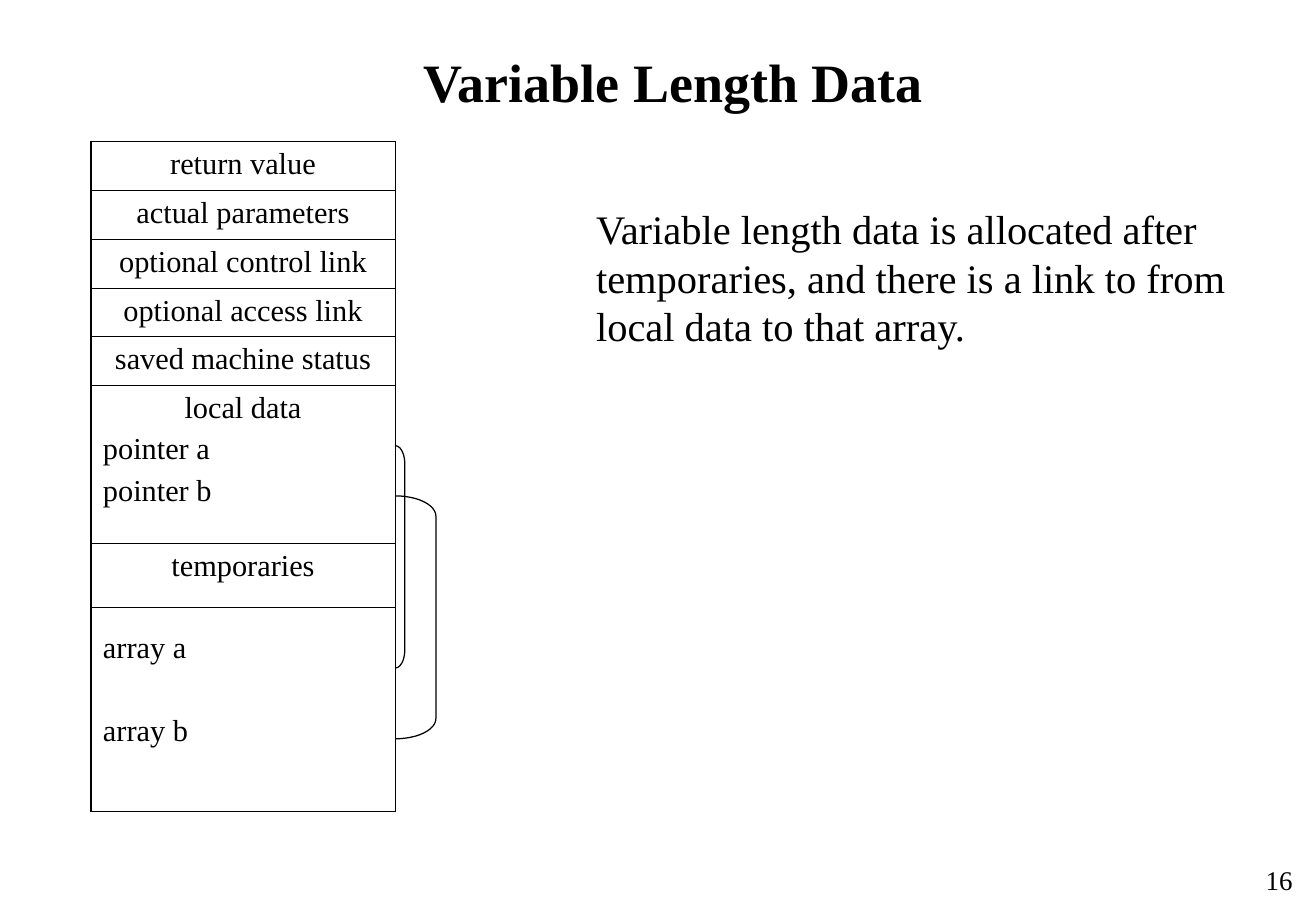
"""Build the slide on variable length data in an activation record."""
from lxml import etree
from pptx import Presentation
from pptx.dml.color import RGBColor
from pptx.enum.shapes import MSO_CONNECTOR, MSO_SHAPE
from pptx.enum.text import MSO_ANCHOR, PP_ALIGN
from pptx.oxml.ns import qn
from pptx.util import Cm, Pt

LEFT, CENTER = PP_ALIGN.LEFT, PP_ALIGN.CENTER
TOP, MIDDLE = MSO_ANCHOR.TOP, MSO_ANCHOR.MIDDLE
STRAIGHT, BRACKET = MSO_CONNECTOR.STRAIGHT, MSO_SHAPE.RIGHT_BRACKET

INK = "000000"
FONT = "Times New Roman"
THIN, THICK, LINK = 0.45, 1.08, 0.75
LINE_GAP, DOUBLE_GAP = 4.5, 29

TITLE = [("Variable Length Data", CENTER, 0)]
NUMBER = [("16", CENTER, 0)]
EXPLANATION = [
    ("Variable length data is allocated after", LEFT, 0),
    ("temporaries, and there is a link to from", LEFT, 0),
    ("local data to that array.", LEFT, 0),
]
TEXT_BOXES = [
    (TITLE, (1.07, 0.43, 26.04, 2.54), MIDDLE, True, {"size": Pt(32), "bold": True}),
    (EXPLANATION, (12.22, 4.14, 13.67, 3.3), TOP, False, {"size": Pt(24)}),
    (NUMBER, (26.06, 17.96, 1.4, 0.89), MIDDLE, False, {"size": Pt(16)}),
]

RECORD_LEFT, RECORD_TOP, RECORD_WIDTH = 1.9, 2.96, 6.37
RECORD_RIGHT = RECORD_LEFT + RECORD_WIDTH
TEMPORARIES_BOTTOM = 12.7
FIELD_HEIGHT = 1.02
SINGLE_FIELDS = [
    "return value",
    "actual parameters",
    "optional control link",
    "optional access link",
    "saved machine status",
]
FIELDS = [(FIELD_HEIGHT, [(name, CENTER, 0)]) for name in SINGLE_FIELDS] + [
    (3.3, [
        ("local data", CENTER, 0),
        ("pointer a", LEFT, LINE_GAP),
        ("pointer b", LEFT, LINE_GAP),
    ]),
    (5.61, [
        ("temporaries", CENTER, 0),
        ("array a", LEFT, DOUBLE_GAP),
        ("array b", LEFT, DOUBLE_GAP),
    ]),
]
THIN_RIGHT_ROW = SINGLE_FIELDS.index("optional access link")

POINTER_LINKS = [(9.32, 0.2, 4.65, 1.9), (10.37, 0.85, 5.08, 0.5)]


def color(hex_value):
    return RGBColor.from_string(hex_value)


def write(frame, lines, style):
    for index, (words, alignment, gap) in enumerate(lines):
        para = frame.paragraphs[0] if index == 0 else frame.add_paragraph()
        para.alignment = alignment
        para.space_before = Pt(gap)
        span = para.add_run()
        span.text = words
        span.font.color.rgb = color(INK)
        for name, value in {"name": FONT, "bold": False, **style}.items():
            setattr(span.font, name, value)


def add_text(page, lines, place, anchor, wrap, style):
    frame = page.shapes.add_textbox(*map(Cm, place)).text_frame
    frame.word_wrap = wrap
    frame.vertical_anchor = anchor
    write(frame, lines, style)


def set_borders(cell, widths):
    properties = cell._tc.get_or_add_tcPr()
    for position, (side, width) in enumerate(widths.items()):
        border = etree.Element(qn(f"a:{side}"), w=str(int(Pt(width))))
        fill = etree.SubElement(border, qn("a:solidFill"))
        etree.SubElement(fill, qn("a:srgbClr"), val=INK)
        properties.insert(position, border)


def add_record(page):
    height = sum(row_height for row_height, _ in FIELDS)
    place = map(Cm, (RECORD_LEFT, RECORD_TOP, RECORD_WIDTH, height))
    table = page.shapes.add_table(len(FIELDS), 1, *place).table
    table.first_row = table.horz_banding = False
    last = len(FIELDS) - 1
    for index, (row_height, lines) in enumerate(FIELDS):
        table.rows[index].height = Cm(row_height)
        cell = table.cell(index, 0)
        cell.fill.background()
        write(cell.text_frame, lines, {"size": Pt(18)})
        set_borders(cell, {
            "lnL": THICK,
            "lnR": THIN if index == THIN_RIGHT_ROW else THICK,
            "lnT": THICK if index == 0 else THIN,
            "lnB": THICK if index == last else THIN,
        })


def draw_line(shape):
    shape.line.color.rgb = color(INK)
    shape.line.width = Pt(LINK)


def add_separator(page):
    ends = (RECORD_LEFT, TEMPORARIES_BOTTOM, RECORD_RIGHT, TEMPORARIES_BOTTOM)
    separator = page.shapes.add_connector(STRAIGHT, *map(Cm, ends))
    draw_line(separator)
    etree.SubElement(separator._element.spPr, qn("a:effectLst"))


def add_pointer_link(page, top, width, height, curve):
    link = page.shapes.add_shape(BRACKET, *map(Cm, (RECORD_RIGHT, top, width, height)))
    link.adjustments[0] = curve
    link.shadow.inherit = False
    link.fill.background()
    draw_line(link)


def main():
    deck = Presentation()
    deck.slide_width, deck.slide_height = Cm(27.53), Cm(19.05)
    page = deck.slides.add_slide(deck.slide_layouts[6])
    add_record(page)
    add_separator(page)
    for link in POINTER_LINKS:
        add_pointer_link(page, *link)
    for text_box in TEXT_BOXES:
        add_text(page, *text_box)
    deck.save("out.pptx")


if __name__ == "__main__":
    main()
